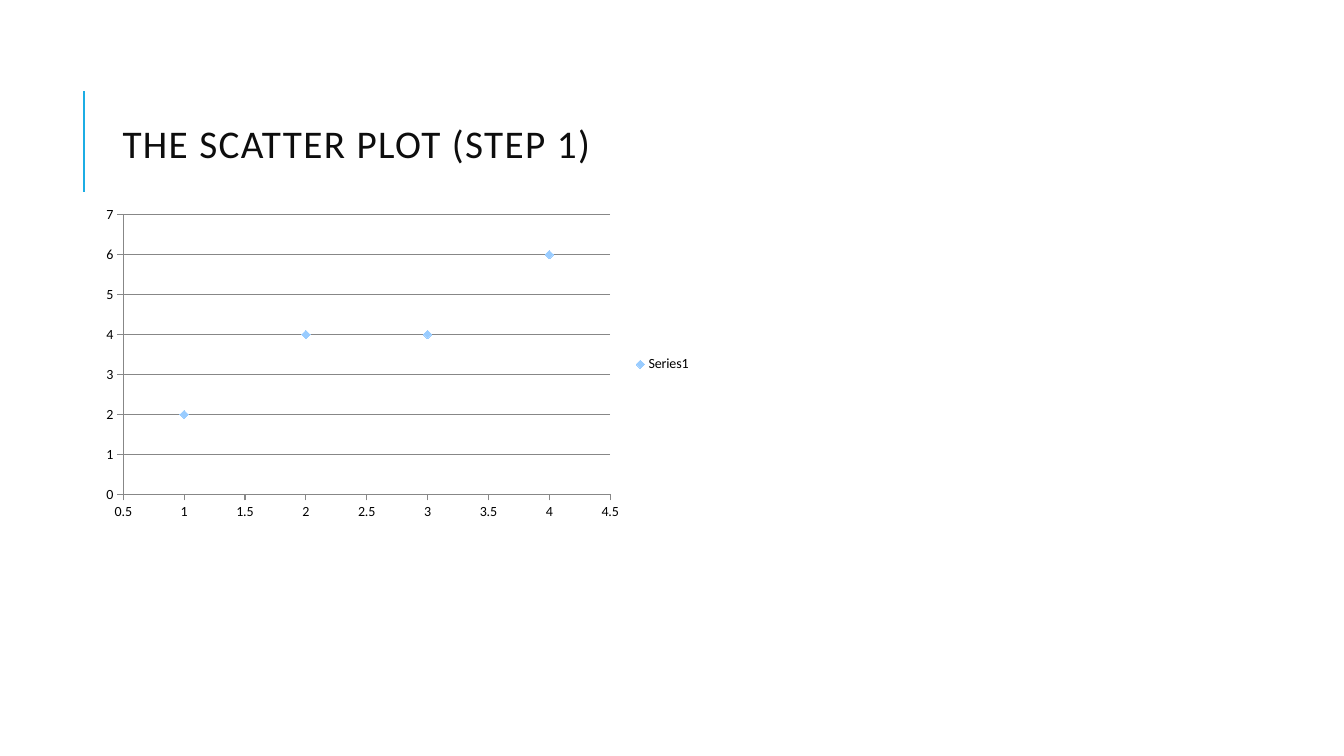
from dataclasses import dataclass

from lxml import etree
from pptx import Presentation
from pptx import chart as ch
from pptx.chart import data as cd
from pptx.dml.color import RGBColor
from pptx.enum import chart as ce, shapes, text
from pptx.oxml import ns
from pptx.util import Cm, Pt


@dataclass(frozen=True)
class Theme:
    font: str = "Calibri"
    title_size: int = 28
    chart_size: int = 10
    title: RGBColor = RGBColor.from_string("0D0D0D")
    accent: RGBColor = RGBColor.from_string("1CADE4")
    marker: RGBColor = RGBColor.from_string("99CCFF")
    label: RGBColor = RGBColor.from_string("000000")
    grid: RGBColor = RGBColor.from_string("878787")


THEME = Theme()
POINTS = [(1, 2), (2, 4), (3, 4), (4, 6)]


def set_font(font, size, color):
    font.name = THEME.font
    font.size = Pt(size)
    font.color.rgb = color


def set_line(line, color, width):
    line.color.rgb = color
    line.width = Pt(width)


def add_rule(s, x, top, bottom):
    rule = s.shapes.add_connector(
        shapes.MSO_CONNECTOR.STRAIGHT, Cm(x), Cm(bottom), Cm(x), Cm(top))
    set_line(rule.line, THEME.accent, 1.5)
    etree.SubElement(rule.element.spPr, ns.qn("a:effectLst"))


def add_title(s, words, x, y, w, h):
    sp = s.shapes.add_textbox(Cm(x), Cm(y), Cm(w), Cm(h))
    tf = sp.text_frame
    tf.word_wrap = True
    tf.vertical_anchor = text.MSO_ANCHOR.MIDDLE
    p = tf.paragraphs[0]
    p.line_spacing = 0.8
    r = p.add_run()
    r.text = words
    set_font(r.font, THEME.title_size, THEME.title)
    r.font._element.set("spc", "100")  # letter spacing of 1 pt


def style_axis(axis, low, high, step):
    axis.minimum_scale, axis.maximum_scale = low, high
    axis.major_unit = step
    axis.major_tick_mark = ce.XL_TICK_MARK.OUTSIDE
    axis.minor_tick_mark = ce.XL_TICK_MARK.NONE
    axis.tick_labels.number_format = "General"
    axis.tick_labels.number_format_is_linked = False
    set_line(axis.format.line, THEME.grid, 0.75)


def place_plot(chart, **fractions):
    """Fix the inner plot area, in fractions of the chart."""
    area = chart.plots[0]._element.getparent()
    for old in area.findall(ns.qn("c:layout")):
        area.remove(old)
    layout = etree.Element(ns.qn("c:layout"))
    manual = etree.SubElement(layout, ns.qn("c:manualLayout"))
    settings = {"layoutTarget": "inner", "xMode": "edge", "yMode": "edge", **fractions}
    for tag, value in settings.items():
        etree.SubElement(manual, ns.qn(f"c:{tag}")).set("val", str(value))
    area.insert(0, layout)


def add_scatter(s, name, points, x, y, w, h):
    data = cd.XyChartData()
    series = data.add_series(name)
    for point in points:
        series.add_data_point(*point)
    chart = s.shapes.add_chart(
        ce.XL_CHART_TYPE.XY_SCATTER, Cm(x), Cm(y), Cm(w), Cm(h), data).chart
    set_font(chart.font, THEME.chart_size, THEME.label)
    chart.has_title = False
    chart.has_legend = True
    chart.legend.position = ce.XL_LEGEND_POSITION.RIGHT
    chart.legend.include_in_layout = False

    # Axes and gridlines
    style_axis(chart.category_axis, 0.5, 4.5, 0.5)
    style_axis(chart.value_axis, 0, 7, 1)
    chart.category_axis.has_major_gridlines = False
    chart.value_axis.has_major_gridlines = True
    set_line(chart.value_axis.major_gridlines.format.line, THEME.grid, 0.75)

    # Markers without a joining line
    plot = chart.plots[0]
    plot.vary_by_categories = False
    dots = plot.series[0]
    dots.smooth = False
    dots.format.line.fill.background()
    dots.marker.style = ce.XL_MARKER_STYLE.DIAMOND
    dots.marker.size = 6
    dots.marker.format.fill.solid()
    dots.marker.format.fill.fore_color.rgb = THEME.marker
    dots.marker.format.line.fill.background()
    place_plot(chart, x=0.05, y=0.04, w=0.8, h=0.86)


def main():
    prs = Presentation()
    prs.slide_width, prs.slide_height = Cm(33.87), Cm(19.05)
    s = prs.slides.add_slide(prs.slide_layouts[6])

    # Heading
    add_rule(s, 2.11, 2.29, 4.83)
    add_title(s, "THE SCATTER PLOT (STEP 1)", 2.84, 1.63, 27, 4.17)

    # Scatter plot
    add_scatter(s, "Series1", POINTS, 2.34, 5.08, 15.34, 8.2)
    prs.save("out.pptx")


if __name__ == "__main__":
    main()
